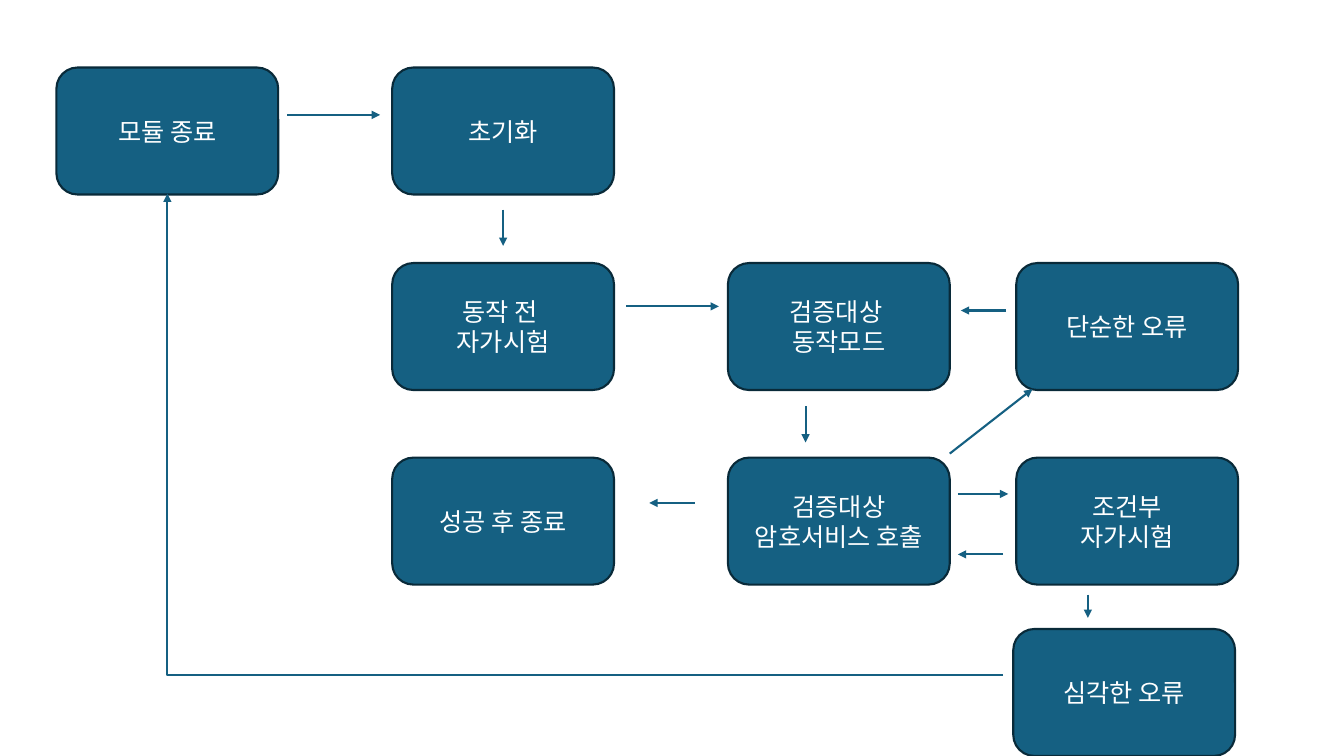
import pptx
import pptx.dml.color
import pptx.enum.shapes
import pptx.enum.text
import pptx.oxml.ns
import pptx.util
from lxml import etree

FONT = "Noto Sans CJK KR"
BLUE, DARK_BLUE, WHITE = "156082", "092A39", "FFFFFF"

# Grid of states, in inches
COLUMNS = [0.56, 3.89, 7.22, 10.08]
ROWS = [0.67, 2.61, 4.54, 6.24]
BOX_WIDTH, BOX_HEIGHT = 2.2, 1.26
FATAL_SHIFT = -0.03

# Column, row, lines of text, horizontal shift
STATES = [
    (0, 0, ["모듈 종료"], 0),
    (1, 0, ["초기화"], 0),
    (1, 1, ["동작 전 ", "자가시험"], 0),
    (2, 1, ["검증대상 ", "동작모드"], 0),
    (2, 2, ["검증대상", "암호서비스 호출"], 0),
    (3, 2, ["조건부", "자가시험"], 0),
    (3, 3, ["심각한 오류"], FATAL_SHIFT),
    (3, 1, ["단순한 오류"], 0),
    (1, 2, ["성공 후 종료"], 0),
]

# Start and end of each transition
TRANSITIONS = [
    ((2.85, 1.14), (3.77, 1.14)),
    ((4.99, 2.08), (4.99, 2.44)),
    ((6.21, 3.04), (7.13, 3.04)),
    ((9.98, 3.08), (9.53, 3.08)),
    ((7.99, 4.03), (7.99, 4.39)),
    ((10.79, 5.9), (10.79, 6.13)),
    ((9.42, 4.5), (10.24, 3.86)),
    ((9.95, 5.5), (9.5, 5.5)),
    ((9.5, 4.9), (10, 4.9)),
    ((6.89, 4.99), (6.44, 4.99)),
]
SHUTDOWN_START, SHUTDOWN_END = (9.95, 6.7), (1.66, 1.92)


def color(hex_value):
    return pptx.dml.color.RGBColor.from_string(hex_value)


def apply_format(target, values):
    for name, value in values.items():
        setattr(target, name, value)


def add_child(parent, tag, **attributes):
    return etree.SubElement(parent, pptx.oxml.ns.qn(tag), attributes)


def set_line(line, hex_value):
    line.color.rgb = color(hex_value)
    line.width = pptx.util.Pt(1.5)


def add_state(slide, column, row, lines, shift):
    shape = slide.shapes.add_shape(
        pptx.enum.shapes.MSO_SHAPE.ROUNDED_RECTANGLE,
        *map(pptx.util.Inches,
             (COLUMNS[column] + shift, ROWS[row], BOX_WIDTH, BOX_HEIGHT)))
    shape.shadow.inherit = False
    shape.fill.solid()
    shape.fill.fore_color.rgb = color(BLUE)
    set_line(shape.line, DARK_BLUE)

    frame = shape.text_frame
    apply_format(frame, {
        "word_wrap": True,
        "vertical_anchor": pptx.enum.text.MSO_ANCHOR.MIDDLE,
    })
    for index, text in enumerate(lines):
        paragraph = frame.add_paragraph() if index else frame.paragraphs[0]
        paragraph.alignment = pptx.enum.text.PP_ALIGN.CENTER
        run = paragraph.add_run()
        run.text = text
        apply_format(run.font, {"size": pptx.util.Pt(18), "name": FONT})
        run.font.color.rgb = color(WHITE)
        add_child(run.font._element, "a:ea", typeface=FONT)


def add_arrow(slide, start, end, kind=pptx.enum.shapes.MSO_CONNECTOR.STRAIGHT):
    connector = slide.shapes.add_connector(
        kind, *map(pptx.util.Inches, start + end))
    set_line(connector.line, BLUE)
    add_child(connector.line._get_or_add_ln(), "a:tailEnd", type="triangle")
    add_child(connector._element.spPr, "a:effectLst")
    return connector


def add_corner_arrow(slide, start, end):
    # One bend, turned half around: runs left along the bottom, then up
    connector = add_arrow(slide, end, start,
                          pptx.enum.shapes.MSO_CONNECTOR.ELBOW)
    properties = connector._element.spPr
    properties.find(pptx.oxml.ns.qn("a:prstGeom")).set("prst", "bentConnector2")
    properties.find(pptx.oxml.ns.qn("a:xfrm")).set("rot", "10800000")


def main():
    presentation = pptx.Presentation()
    apply_format(presentation, {
        "slide_width": pptx.util.Inches(13.33),
        "slide_height": pptx.util.Inches(7.5),
    })
    slide = presentation.slides.add_slide(presentation.slide_layouts[6])

    # States
    for state in STATES:
        add_state(slide, *state)

    # Transitions
    for start, end in TRANSITIONS:
        add_arrow(slide, start, end)
    add_corner_arrow(slide, SHUTDOWN_START, SHUTDOWN_END)

    presentation.save("out.pptx")


if __name__ == "__main__":
    main()
